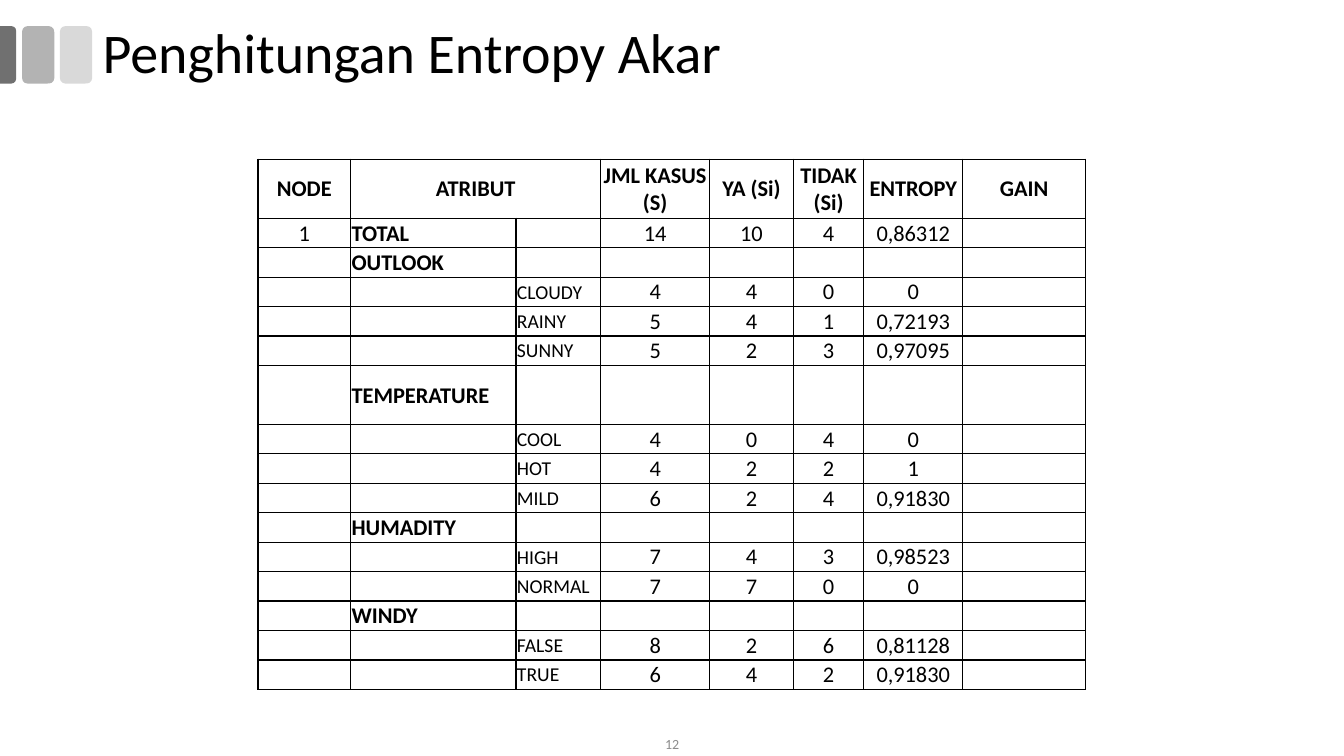
from lxml.etree import SubElement
from pptx import Presentation
from pptx.dml.color import RGBColor
from pptx.enum.shapes import MSO_SHAPE
from pptx.enum.text import MSO_ANCHOR, PP_ALIGN
from pptx.oxml.ns import qn
from pptx.util import Pt

FONT = "Calibri"
COLORS = {"ink": "000000", "paper": "FFFFFF", "page": "8C8C8C",
          "dark": "707070", "mid": "B3B3B3", "light": "D9D9D9"}
COLS = [66.2, 118.1, 60.5, 77.8, 59.8, 50.4, 70.6, 87.8]
UNIT = 21.04
TALL = (0, 6)
HEAD = ["NODE", "ATRIBUT", "", "JML KASUS (S)", "YA (Si)", "TIDAK (Si)",
        "ENTROPY", "GAIN"]
TOTAL = ["1", "TOTAL", "", "14", "10", "4", "0,86312", ""]
GROUPS = {
    "OUTLOOK": [("CLOUDY", "4", "4", "0", "0"),
                ("RAINY", "5", "4", "1", "0,72193"),
                ("SUNNY", "5", "2", "3", "0,97095")],
    "TEMPERATURE": [("COOL", "4", "0", "4", "0"),
                    ("HOT", "4", "2", "2", "1"),
                    ("MILD", "6", "2", "4", "0,91830")],
    "HUMADITY": [("HIGH", "7", "4", "3", "0,98523"),
                 ("NORMAL", "7", "7", "0", "0")],
    "WINDY": [("FALSE", "8", "2", "6", "0,81128"),
              ("TRUE", "6", "4", "2", "0,91830")],
}


def color(name):
    return RGBColor.from_string(COLORS[name])


def style(para, size, ink="ink", bold=False, align=PP_ALIGN.LEFT):
    para.alignment = align
    for run in para.runs:
        run.font.name = FONT
        run.font.size = Pt(size)
        run.font.bold = bold
        run.font.color.rgb = color(ink)


def add_text(slide, box, text, size, **look):
    """Add one line of text, centred vertically in its box."""
    frame = slide.shapes.add_textbox(*map(Pt, box)).text_frame
    frame.word_wrap = True
    frame.vertical_anchor = MSO_ANCHOR.MIDDLE
    frame.text = text
    para = frame.paragraphs[0]
    style(para, size, **look)
    return para


def add_block(slide, kind, box, fill):
    block = slide.shapes.add_shape(kind, *map(Pt, box))
    block.shadow.inherit = False
    block.fill.solid()
    block.fill.fore_color.rgb = color(fill)
    block.line.fill.background()
    return block


def add_header(slide, left, top, width, height):
    """Place the three grey tabs and the title beside them."""
    tab, tall, step = 23, 41, 27
    tabs = top + 6.5
    for i, fill in enumerate(("mid", "light")):
        add_block(slide, MSO_SHAPE.ROUNDED_RECTANGLE,
                  (left + 15.8 + i * step, tabs, tab, tall), fill)
    thin = 11.5
    edge = add_block(slide, MSO_SHAPE.ROUND_2_SAME_RECTANGLE,
                     (left + (thin - tall) / 2, tabs + (tall - thin) / 2,
                      tall, thin), "dark")
    edge.rotation = 90
    edge.adjustments[0] = 0.29
    edge.adjustments[1] = 0
    indent = 66.2
    title = add_text(slide, (left + indent, top, width - indent, height),
                     "Penghitungan Entropy Akar", 40)
    title.line_spacing = 0.9


def draw_borders(cell):
    props = cell._tc.get_or_add_tcPr()
    for side in ("a:lnL", "a:lnR", "a:lnT", "a:lnB"):
        line = SubElement(props, qn(side), w=str(Pt(1)))
        fill = SubElement(line, qn("a:solidFill"))
        SubElement(fill, qn("a:srgbClr"), val=COLORS["ink"])


def fill_cell(cell, text, row, col):
    draw_borders(cell)
    cell.fill.solid()
    cell.fill.fore_color.rgb = color("paper")
    cell.vertical_anchor = MSO_ANCHOR.MIDDLE
    cell.margin_left = cell.margin_right = cell.margin_top = Pt(0.7)
    cell.margin_bottom = 0
    para = cell.text_frame.paragraphs[0]
    if not text:
        SubElement(para._p, qn("a:endParaRPr"), sz="1400")
        return
    para.text = text
    label = row > 0 and col in (1, 2)
    style(para, 14 if label and col == 2 else 16,
          bold=row == 0 or col == 1,
          align=PP_ALIGN.LEFT if label else PP_ALIGN.CENTER)


def list_rows():
    rows = [HEAD, TOTAL]
    for name, cases in GROUPS.items():
        rows.append(["", name] + [""] * 6)
        rows += [["", "", *case, ""] for case in cases]
    return rows


def add_grid(slide, left, top):
    """Place the entropy table with its top left corner at the given point."""
    rows = list_rows()
    high = UNIT * (len(rows) + len(TALL))
    box = (left, top, sum(COLS), high)
    table = slide.shapes.add_table(len(rows), len(COLS), *map(Pt, box)).table
    for col, width in zip(table.columns, COLS):
        col.width = Pt(width)
    table.cell(0, 1).merge(table.cell(0, 2))
    for r, texts in enumerate(rows):
        table.rows[r].height = Pt(UNIT * (2 if r in TALL else 1))
        for c, text in enumerate(texts):
            fill_cell(table.cell(r, c), text, r, c)


def main():
    deck = Presentation()
    deck.slide_width, deck.slide_height = Pt(960), Pt(540)
    slide = deck.slides.add_slide(deck.slide_layouts[6])
    add_header(slide, 0, 12.2, 959, 54)
    add_grid(slide, 184.3, 113.8)
    add_text(slide, (372.2, 522, 216, 18), "12", 10, ink="page",
             align=PP_ALIGN.CENTER)
    deck.save("out.pptx")


if __name__ == "__main__":
    main()
